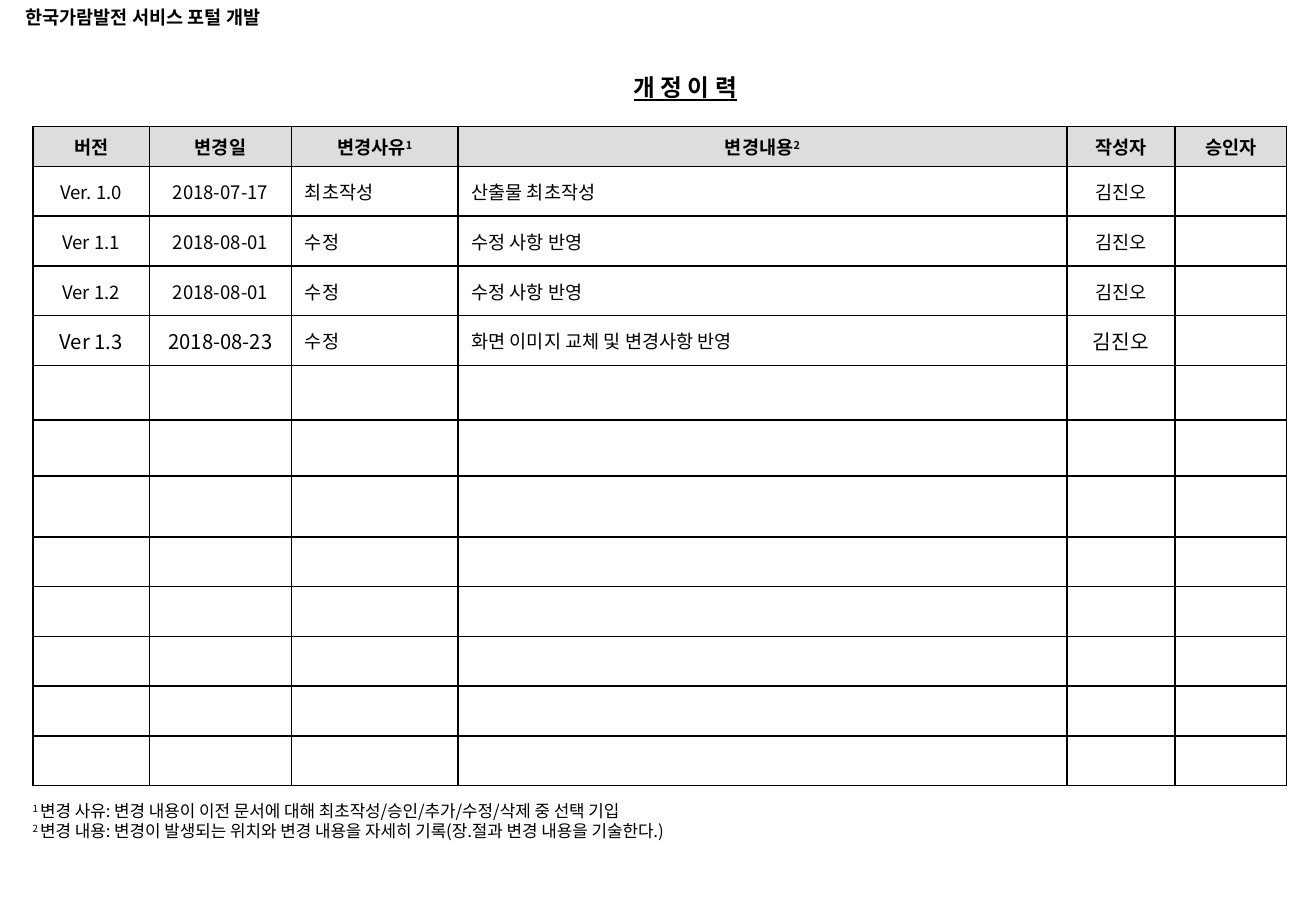
from dataclasses import dataclass

from lxml.etree import SubElement
from pptx import Presentation
from pptx.dml.color import RGBColor
from pptx.enum.shapes import MSO_SHAPE
from pptx.enum.text import MSO_ANCHOR as Anchor, MSO_AUTO_SIZE as AutoSize, PP_ALIGN as Align
from pptx.oxml.ns import qn
from pptx.util import Inches, Pt


@dataclass(frozen=True)
class Theme:
    font: str = "Noto Sans CJK KR"
    ink: str = "000000"
    paper: str = "FFFFFF"
    header: str = "DDDDDD"
    title: int = 14
    large: int = 12
    body: int = 11
    note: int = 10
    border: int = 1


theme = Theme()


def add_span(para, text, size, bold=False, raised=False):
    span = para.add_run()
    span.text = text
    span.font.size = Pt(size)
    span.font.bold = bold
    span.font.color.rgb = RGBColor.from_string(theme.ink)
    span.font.name = theme.font
    properties = span.font._element
    SubElement(properties, qn("a:ea"), typeface=theme.font)
    if raised:
        properties.set("baseline", "30000")
    return span


def add_borders(cell):
    properties = cell._tc.get_or_add_tcPr()
    for position, side in enumerate(("lnL", "lnR", "lnT", "lnB")):
        line = properties.makeelement(qn(f"a:{side}"), {"w": str(Pt(theme.border))})
        fill = SubElement(line, qn("a:solidFill"))
        SubElement(fill, qn("a:srgbClr"), val=theme.ink)
        properties.insert(position, line)


deck = Presentation()
deck.slide_width = Inches(10.83)
deck.slide_height = Inches(7.5)
page = deck.slides.add_slide(deck.slide_layouts[5])

# Title
title = page.shapes.title
title.left, title.top, title.width, title.height = map(Inches, (4.08, 0.55, 3.12, 0.33))
title.text_frame.auto_size = AutoSize.NONE
title.text_frame.vertical_anchor = Anchor.MIDDLE
para = title.text_frame.paragraphs[0]
para.alignment = Align.CENTER
add_span(para, "개 정 이 력", theme.title, bold=True).font.underline = True

# Footnotes
notes = [
    ("1 ", "변경 사유: 변경 내용이 이전 문서에 대해 최초작성/승인/추가/수정/삭제 중 선택 기입"),
    ("2 ", "변경 내용: 변경이 발생되는 위치와 변경 내용을 자세히 기록(장.절과 변경 내용을 기술한다.)"),
]
box = page.shapes.add_textbox(Inches(0.17), Inches(6.54), Inches(6.12), Inches(0.44))
box.text_frame.word_wrap = False
for index, (mark, text) in enumerate(notes):
    para = box.text_frame.add_paragraph() if index else box.text_frame.paragraphs[0]
    add_span(para, mark, theme.note, raised=True)
    add_span(para, text, theme.note)

# Revision table
headers = ["버전", "변경일", "변경사유", "변경내용", "작성자", "승인자"]
marks = {2: "1", 3: "2"}
revisions = [
    ["Ver. 1.0", "2018-07-17", "최초작성", "산출물 최초작성", "김진오"],
    ["Ver 1.1", "2018-08-01", "수정", "수정 사항 반영", "김진오"],
    ["Ver 1.2", "2018-08-01", "수정", "수정 사항 반영", "김진오"],
    ["Ver 1.3", "2018-08-23", "수정", "화면 이미지 교체 및 변경사항 반영", "김진오"],
]
left_columns = (2, 3)
widths = [0.96, 1.17, 1.37, 5.01, 0.89, 0.92]
heights = [0.33] + [0.41] * 4 + [0.45, 0.46, 0.5] + [0.41] * 5
table = page.shapes.add_table(
    len(heights), len(widths), Inches(0.27), Inches(1.04), Inches(10.31), Inches(5.45)
).table
table.first_row = False
table.horz_banding = False
for column, width in zip(table.columns, widths):
    column.width = Inches(width)
for row, height in zip(table.rows, heights):
    row.height = Inches(height)

contents = [headers] + revisions
for r in range(len(heights)):
    for c in range(len(widths)):
        cell = table.cell(r, c)
        cell.vertical_anchor = Anchor.MIDDLE
        cell.margin_left = cell.margin_right = Inches(0.11)
        cell.margin_top = cell.margin_bottom = Inches(0.05)
        if r == 0:
            cell.fill.solid()
            cell.fill.fore_color.rgb = RGBColor.from_string(theme.header)
        else:
            cell.fill.background()
        add_borders(cell)

        para = cell.text_frame.paragraphs[0]
        para.alignment = Align.LEFT if r and c in left_columns else Align.CENTER
        if r < len(contents) and c < len(contents[r]):
            latest = r == len(revisions) and c not in left_columns
            size = theme.large if latest else theme.body
            add_span(para, contents[r][c], size, bold=r == 0)
            if r == 0 and c in marks:
                add_span(para, marks[c], size, bold=True, raised=True)
        else:
            # Keeps empty rows at their set height
            SubElement(para._p, qn("a:endParaRPr"), sz=str(theme.body * 100))

# Project name
project = page.shapes.add_shape(
    MSO_SHAPE.RECTANGLE, Inches(0.11), Inches(0), Inches(2.43), Inches(0.29)
)
project.shadow.inherit = False
project.fill.solid()
project.fill.fore_color.rgb = RGBColor.from_string(theme.paper)
project.line.fill.background()
project.text_frame.word_wrap = False
project.text_frame.vertical_anchor = Anchor.TOP
para = project.text_frame.paragraphs[0]
para.alignment = Align.LEFT
add_span(para, "한국가람발전 서비스 포털 개발", theme.body, bold=True)

deck.save("out.pptx")
